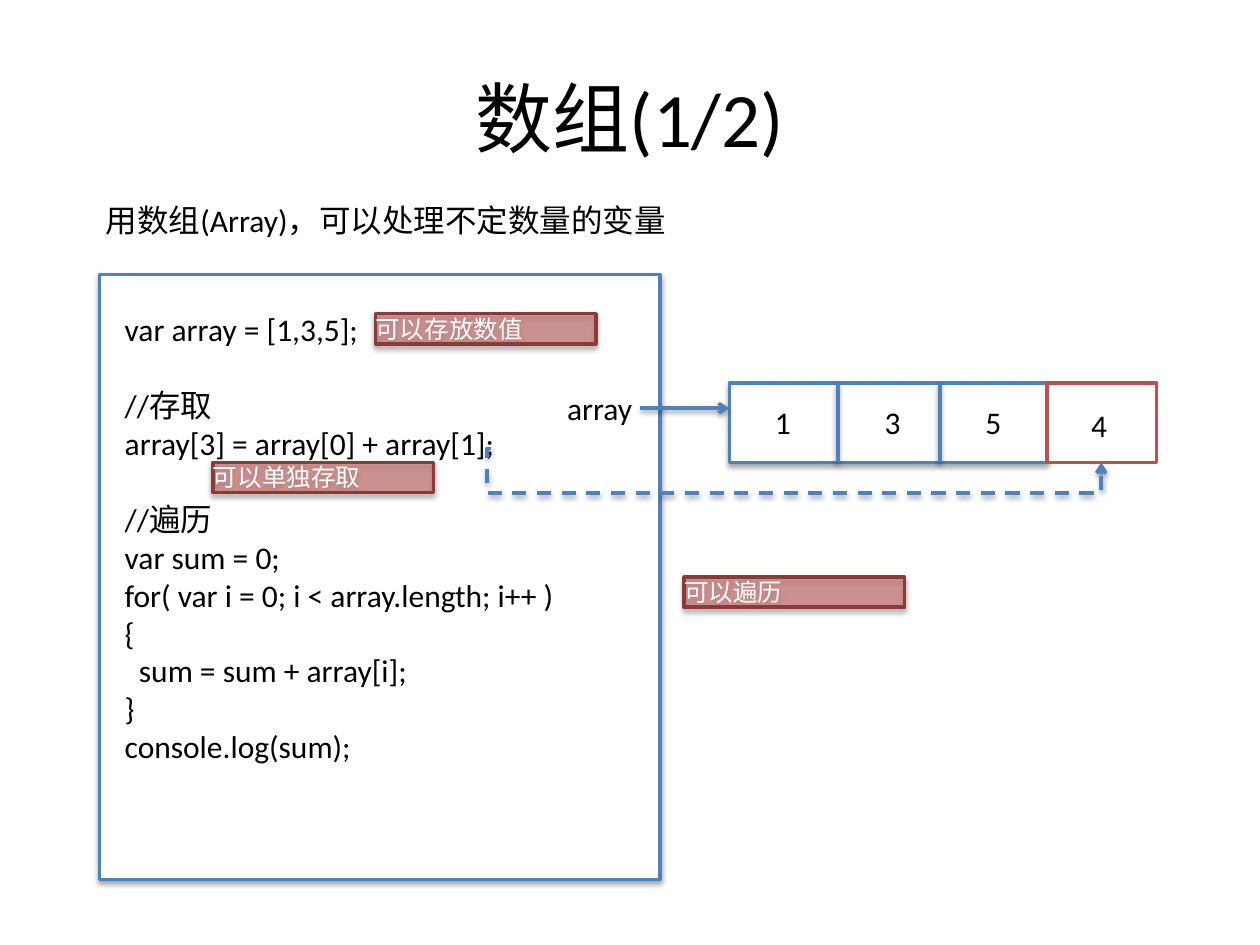
"""Build a slide that introduces JavaScript arrays."""
from dataclasses import dataclass

from lxml.etree import SubElement
from pptx import Presentation
from pptx.dml.color import RGBColor as RGB
from pptx.enum.dml import MSO_LINE as DASH
from pptx.enum.shapes import MSO_CONNECTOR as CONN, MSO_SHAPE as SHAPE
from pptx.enum.text import MSO_ANCHOR as ANCHOR, PP_ALIGN as ALIGN
from pptx.oxml.ns import qn
from pptx.util import Inches, Pt


@dataclass(frozen=True)
class Theme:
    font: str = "Calibri"
    ink: str = "000000"
    paper: str = "FFFFFF"
    blue: str = "4F81BD"
    red: str = "C0504D"
    dark_red: str = "8C3A38"
    title: int = 44
    body: int = 18
    note: int = 14
    line: int = 2
    gap: int = 22


def write(tf, text, size, color, font, align=ALIGN.LEFT, anchor=ANCHOR.TOP, inset=0.05, gap=0):
    tf.word_wrap = True
    tf.vertical_anchor = anchor
    tf.margin_left = tf.margin_right = tf.margin_top = tf.margin_bottom = Inches(inset)
    for i, block in enumerate(text.split("\n\n")):
        for j, line in enumerate(block.split("\n")):
            p = tf.add_paragraph() if i or j else tf.paragraphs[0]
            p.alignment = align
            if i and not j:
                p.space_before = Pt(gap)
            r = p.add_run()
            r.text = line
            r.font.size, r.font.name = Pt(size), font
            r.font.color.rgb = RGB.from_string(color)


def cast_shadow(effects, alpha, dist):
    shadow = SubElement(effects, qn("a:outerShdw"), blurRad=str(Pt(3)), dist=str(Pt(dist)),
                        dir="5400000", rotWithShape="0")
    clr = SubElement(shadow, qn("a:srgbClr"), val="000000")
    SubElement(clr, qn("a:alpha"), val=str(alpha * 1000))


class Deck:
    def __init__(self, prs, theme):
        self.theme = theme
        self.s = prs.slides.add_slide(prs.slide_layouts[6])

    def text(self, x, y, w, h, text, size=None, **fmt):
        t = self.theme
        sp = self.s.shapes.add_textbox(Inches(x), Inches(y), Inches(w), Inches(h))
        write(sp.text_frame, text, size or t.body, t.ink, t.font, gap=t.gap, **fmt)

    def rect(self, x, y, w, h, fill, line, shadow=True):
        sp = self.s.shapes.add_shape(SHAPE.RECTANGLE, Inches(x), Inches(y), Inches(w), Inches(h))
        sp.fill.solid()
        sp.fill.fore_color.rgb = RGB.from_string(fill)
        sp.line.color.rgb = RGB.from_string(line)
        sp.line.width = Pt(self.theme.line)
        sp.shadow.inherit = False
        if shadow:
            cast_shadow(sp._element.spPr.find(qn("a:effectLst")), 35, 1.8)
        return sp

    def note(self, x, y, text):
        t = self.theme
        sp = self.rect(x, y, 1.75, 0.24, t.red, t.dark_red)
        clr = sp._element.spPr.find(qn("a:solidFill"))[0]
        SubElement(clr, qn("a:alpha"), val="50000")
        write(sp.text_frame, text, t.note, t.paper, t.font, inset=0)

    def line(self, x1, y1, x2, y2, arrow=False, dash=None, bends=()):
        kind = CONN.ELBOW if bends else CONN.STRAIGHT
        cx = self.s.shapes.add_connector(kind, Inches(x1), Inches(y1), Inches(x2), Inches(y2))
        cx.line.color.rgb = RGB.from_string(self.theme.blue)
        cx.line.width = Pt(self.theme.line)
        if dash:
            cx.line.dash_style = dash
        spPr = cx._element.spPr
        if bends:
            geom = spPr.find(qn("a:prstGeom"))
            geom.set("prst", "bentConnector4")
            for i, bend in enumerate(bends, 1):
                SubElement(geom.find(qn("a:avLst")), qn("a:gd"), name=f"adj{i}",
                           fmla=f"val {round(bend * 100000)}")
        if arrow:
            SubElement(spPr.find(qn("a:ln")), qn("a:tailEnd"), type="arrow")
        cast_shadow(SubElement(spPr, qn("a:effectLst")), 38, 1.6)


CODE = """var array = [1,3,5];

//存取
array[3] = array[0] + array[1];

//遍历
var sum = 0;
for( var i = 0; i < array.length; i++ )
{
  sum = sum + array[i];
}
console.log(sum);"""


def main():
    prs = Presentation()
    prs.slide_width, prs.slide_height = Inches(10), Inches(7.5)
    t = Theme()
    d = Deck(prs, t)

    d.text(0.5, 0.3, 9, 1.25, "数组(1/2)", t.title, align=ALIGN.CENTER, anchor=ANCHOR.MIDDLE)
    d.rect(0.79, 2.18, 4.45, 4.8, t.paper, t.blue)
    d.text(0.94, 2.41, 4.77, 3.74, CODE)

    top, height = 3.04, 0.63
    bottom = top + height
    d.rect(5.79, top, 2.52, height, t.paper, t.blue)
    for x in (6.65, 7.46):
        d.line(x, top, x, bottom)
    d.rect(8.31, top, 0.87, height, t.paper, t.red, shadow=False)
    d.line(3.9, 3.56, 8.74, bottom, arrow=True, dash=DASH.DASH, bends=(-0.007, 3.21))
    for x, y, value in ((6.1, 3.15, "1"), (6.97, 3.15, "3"), (7.77, 3.15, "5"), (8.61, 3.17, "4")):
        d.text(x, y, 0.71, 0.4, value)

    d.text(4.45, top, 0.79, 0.4, "array")
    d.line(5.08, 3.24, 5.79, 3.24, arrow=True)
    for x, y, label in ((2.98, 2.49, "可以存放数值"), (5.43, 4.58, "可以遍历"), (1.69, 3.67, "可以单独存取")):
        d.note(x, y, label)
    d.text(0.79, 1.55, 6.98, 0.4, "用数组(Array)，可以处理不定数量的变量")

    prs.save("out.pptx")


if __name__ == "__main__":
    main()
